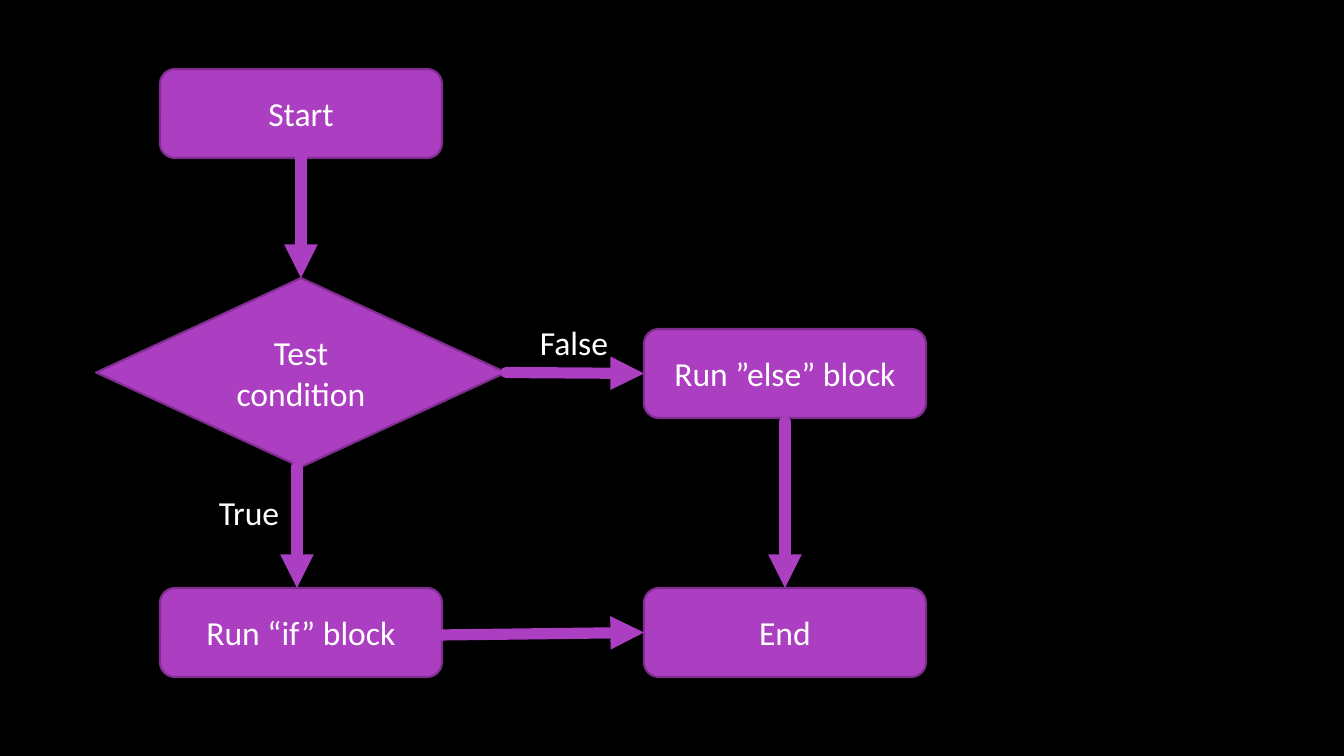
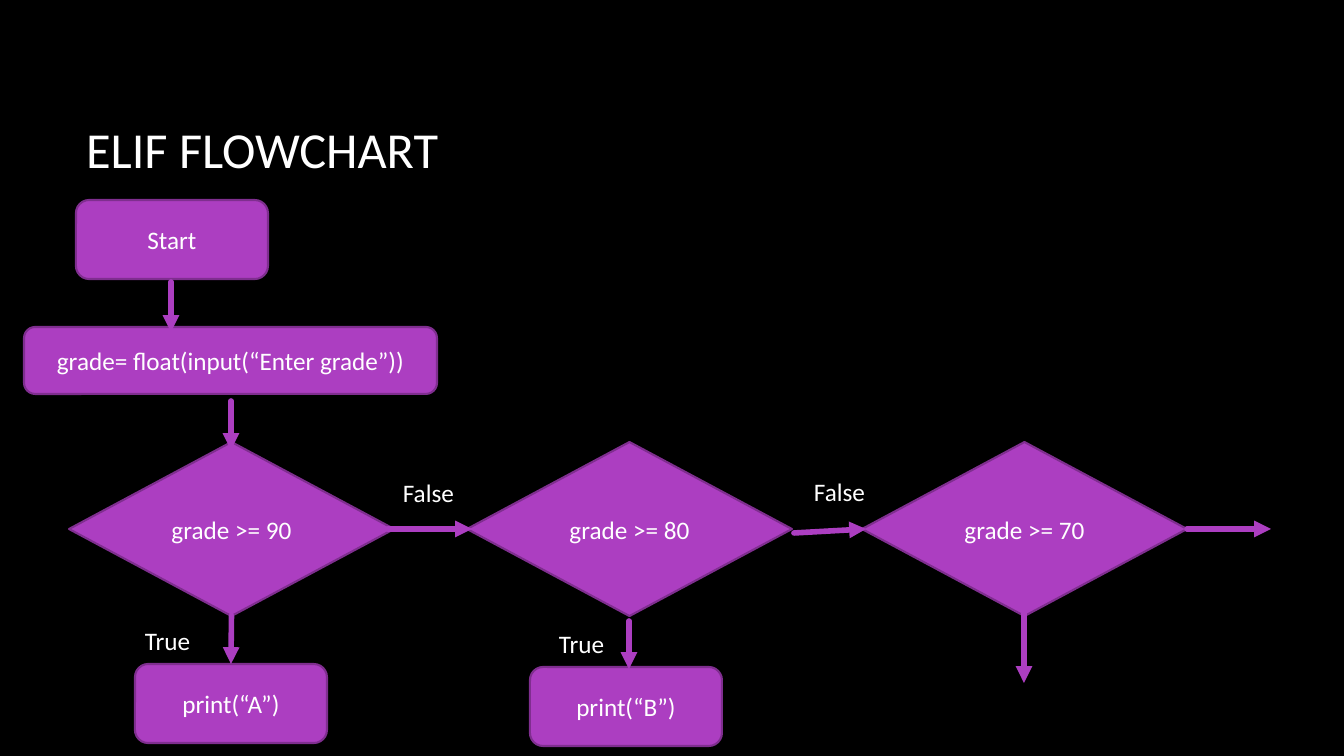
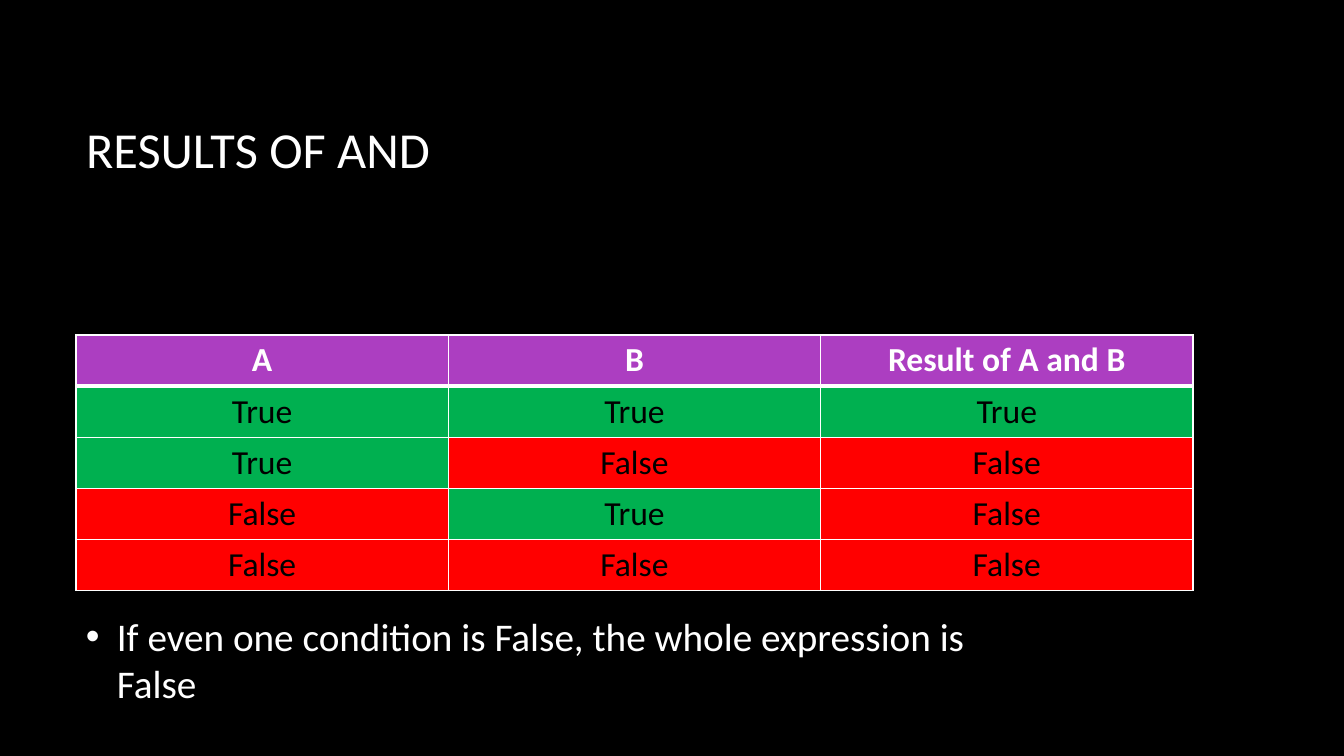
import dataclasses
import typing

import lxml.etree
import pptx
import pptx.dml.color
import pptx.enum.shapes
import pptx.enum.text
import pptx.oxml.ns
import pptx.util

SCALE = 914400 / 100.8  # EMU in one px
FONT = "Calibri"
HUES = {
    "back": "000000",
    "text": "FFFFFF",
    "main": "AC3EC1",
    "edge": "7F2E8F",
    "True": "00B050",
    "False": "FF0000",
}
TOP, LEFT, BASE, RIGHT = range(4)
ROUND = pptx.enum.shapes.MSO_SHAPE.ROUNDED_RECTANGLE
RHOMB = pptx.enum.shapes.MSO_SHAPE.DIAMOND
MID = pptx.enum.text.MSO_ANCHOR.MIDDLE
CENTER = pptx.enum.text.PP_ALIGN.CENTER
START = pptx.enum.text.PP_ALIGN.LEFT
qn = pptx.oxml.ns.qn


class Rect(typing.NamedTuple):
    x: int
    y: int
    w: int
    h: int


class Point(typing.NamedTuple):
    x: int
    y: int


class Site(typing.NamedTuple):
    """The middle of one side of a named node."""
    name: str
    side: int


@dataclasses.dataclass
class Node:
    name: str
    text: str
    rect: Rect
    kind: int = ROUND


@dataclasses.dataclass
class Arrow:
    start: Point | Site
    end: Point | Site


@dataclasses.dataclass
class Label:
    text: str
    rect: Rect


@dataclasses.dataclass
class Chart:
    size: int
    weight: int
    nodes: list[Node]
    arrows: list[Arrow]
    labels: list[Label]


def px(num: int) -> pptx.util.Emu:
    return pptx.util.Emu(round(num * SCALE))


def span(rect: Rect) -> list[pptx.util.Emu]:
    return [px(num) for num in rect]


def hue(name: str) -> pptx.dml.color.RGBColor:
    return pptx.dml.color.RGBColor.from_string(HUES[name])


def style(frame, size: int, align=START, tone: str = "text", bold: bool = False) -> None:
    for para in frame.paragraphs:
        para.alignment = align
        for run in para.runs:
            run.font.name = FONT
            run.font.size = pptx.util.Pt(size)
            run.font.bold = bold
            run.font.color.rgb = hue(tone)


def add_sub(parent, tag: str, **attrs: str):
    return lxml.etree.SubElement(parent, qn(tag), attrs)


# Flowchart parts
def add_node(slide, node: Node, size: int):
    shape = slide.shapes.add_shape(node.kind, *span(node.rect))
    shape.shadow.inherit = False
    shape.fill.solid()
    shape.fill.fore_color.rgb = hue("main")
    shape.line.color.rgb = hue("edge")
    shape.line.width = pptx.util.Pt(1.5)
    shape.text_frame.text = node.text
    shape.text_frame.word_wrap = True
    shape.text_frame.vertical_anchor = MID
    style(shape.text_frame, size, CENTER)
    return shape


def add_arrow(slide, arrow: Arrow, weight: int, shapes: dict) -> None:
    ends = [px(num) for end in (arrow.start, arrow.end)
            for num in (end if isinstance(end, Point) else (0, 0))]
    line = slide.shapes.add_connector(pptx.enum.shapes.MSO_CONNECTOR.STRAIGHT, *ends)
    for end, join in ((arrow.start, line.begin_connect), (arrow.end, line.end_connect)):
        if isinstance(end, Site):
            join(shapes[end.name], end.side)
    line.line.color.rgb = hue("main")
    line.line.width = pptx.util.Pt(weight)
    props = line.element.spPr
    stroke = props.find(qn("a:ln"))
    stroke.set("cap", "rnd")
    add_sub(stroke, "a:round")
    add_sub(stroke, "a:tailEnd", type="triangle")
    add_sub(props, "a:effectLst")


def add_label(slide, label: Label, size: int) -> None:
    frame = slide.shapes.add_textbox(*span(label.rect)).text_frame
    frame.text = label.text
    frame.word_wrap = False
    frame.auto_size = pptx.enum.text.MSO_AUTO_SIZE.SHAPE_TO_FIT_TEXT
    style(frame, size)


def add_chart(slide, chart: Chart) -> None:
    shapes = {node.name: add_node(slide, node, chart.size) for node in chart.nodes}
    for arrow in chart.arrows:
        add_arrow(slide, arrow, chart.weight, shapes)
    for label in chart.labels:
        add_label(slide, label, chart.size)


# Titles, table and bullet
def add_titled(deck, text: str):
    slide = deck.slides.add_slide(deck.slide_layouts[5])
    title = slide.shapes.title
    title.left, title.top, title.width, title.height = span(Rect(76, 68, 1117, 160))
    title.text_frame.text = text
    title.text_frame.vertical_anchor = MID
    style(title.text_frame, 36)
    return slide


def add_border(cell, side: str, weight: int) -> None:
    props = cell._tc.get_or_add_tcPr()
    line = add_sub(props, f"a:ln{side}", w=str(pptx.util.Pt(weight)))
    add_sub(add_sub(line, "a:solidFill"), "a:srgbClr", val=HUES["text"])


def add_grid(slide, rect: Rect, rows: list[list[str]]) -> None:
    table = slide.shapes.add_table(len(rows), len(rows[0]), *span(rect)).table
    for r, row in enumerate(rows):
        head = r == 0
        table.rows[r].height = px(rect.h // len(rows))
        for c, text in enumerate(row):
            cell = table.cell(r, c)
            for side in "LRTB":
                thick = (r, side) in ((0, "B"), (1, "T"))
                add_border(cell, side, 3 if thick else 1)
            cell.fill.solid()
            cell.fill.fore_color.rgb = hue("main" if head else text)
            cell.text_frame.text = text
            style(cell.text_frame, 24, CENTER, "text" if head else "back", head)


def add_bullet(slide, rect: Rect, text: str) -> None:
    frame = slide.shapes.add_textbox(*span(rect)).text_frame
    frame.text = text
    frame.word_wrap = True
    frame.vertical_anchor = MID
    style(frame, 28)
    para = frame.paragraphs[0]
    para.space_after = pptx.util.Pt(10)
    props = para._p.get_or_add_pPr()
    props.set("marL", str(px(31)))
    props.set("indent", str(px(-31)))
    add_sub(add_sub(props, "a:buClr"), "a:srgbClr", val=HUES["text"])
    add_sub(props, "a:buFont", typeface="Arial")
    add_sub(props, "a:buChar", char="•")


# Contents
def big(x: int, y: int) -> Rect:
    return Rect(x, y, 282, 89)


def small(x: int, y: int) -> Rect:
    return Rect(x, y, 192, 79)


IF_ELSE = Chart(
    24, 8,
    [
        Node("start", "Start", big(160, 69)),
        Node("test", "Test condition", Rect(96, 278, 410, 189), RHOMB),
        Node("if", "Run “if” block", big(160, 588)),
        Node("else", "Run ”else” block", big(644, 329)),
        Node("end", "End", big(644, 588)),
    ],
    [
        Arrow(Site("start", BASE), Site("test", TOP)),
        Arrow(Point(297, 467), Point(297, 588)),
        Arrow(Site("test", RIGHT), Site("else", LEFT)),
        Arrow(Point(442, 635), Site("end", LEFT)),
        Arrow(Point(785, 422), Site("end", TOP)),
    ],
    [Label("True", Rect(209, 487, 82, 50)), Label("False", Rect(530, 317, 90, 50))],
)

ELIF = Chart(
    18, 4,
    [
        Node("start", "Start", small(76, 200)),
        Node("input", "grade= float(input(“Enter grade”))", Rect(24, 327, 413, 67)),
        *(Node(f"test{mark}", f"grade >= {mark}", Rect(x, 442, 325, 174), RHOMB)
          for mark, x in ((90, 69), (80, 467), (70, 862))),
        Node("A", "print(“A”)", small(135, 664)),
        Node("B", "print(“B”)", small(530, 667)),
    ],
    [
        Arrow(Point(171, 282), Point(171, 332)),
        Arrow(Point(231, 401), Point(231, 450)),
        Arrow(Site("test90", BASE), Site("A", TOP)),
        Arrow(Point(388, 529), Point(472, 529)),
        Arrow(Point(629, 621), Point(629, 669)),
        Arrow(Point(794, 533), Point(866, 529)),
        Arrow(Site("test70", RIGHT), Point(1271, 529)),
        Arrow(Point(1024, 613), Point(1024, 683)),
    ],
    [
        *(Label("True", Rect(x, y, 67, 40)) for x, y in ((135, 620), (549, 623))),
        *(Label("False", Rect(x, y, 72, 40)) for x, y in ((393, 472), (804, 471))),
    ],
)

AND_ROWS = [["A", "B", "Result of A and B"]] + [
    [str(a), str(b), str(a and b)] for a in (True, False) for b in (True, False)
]


def main() -> None:
    deck = pptx.Presentation()
    deck.slide_width, deck.slide_height = px(1344), px(756)
    back = deck.slide_master.background.fill
    back.solid()
    back.fore_color.rgb = hue("back")

    add_chart(deck.slides.add_slide(deck.slide_layouts[6]), IF_ELSE)
    add_chart(add_titled(deck, "ELIF FLOWCHART"), ELIF)
    truth = add_titled(deck, "RESULTS OF AND")
    add_grid(truth, Rect(76, 335, 1117, 255), AND_ROWS)
    add_bullet(truth, Rect(76, 594, 983, 131),
               "If even one condition is False, the whole expression is False")
    deck.save("out.pptx")


if __name__ == "__main__":
    main()
